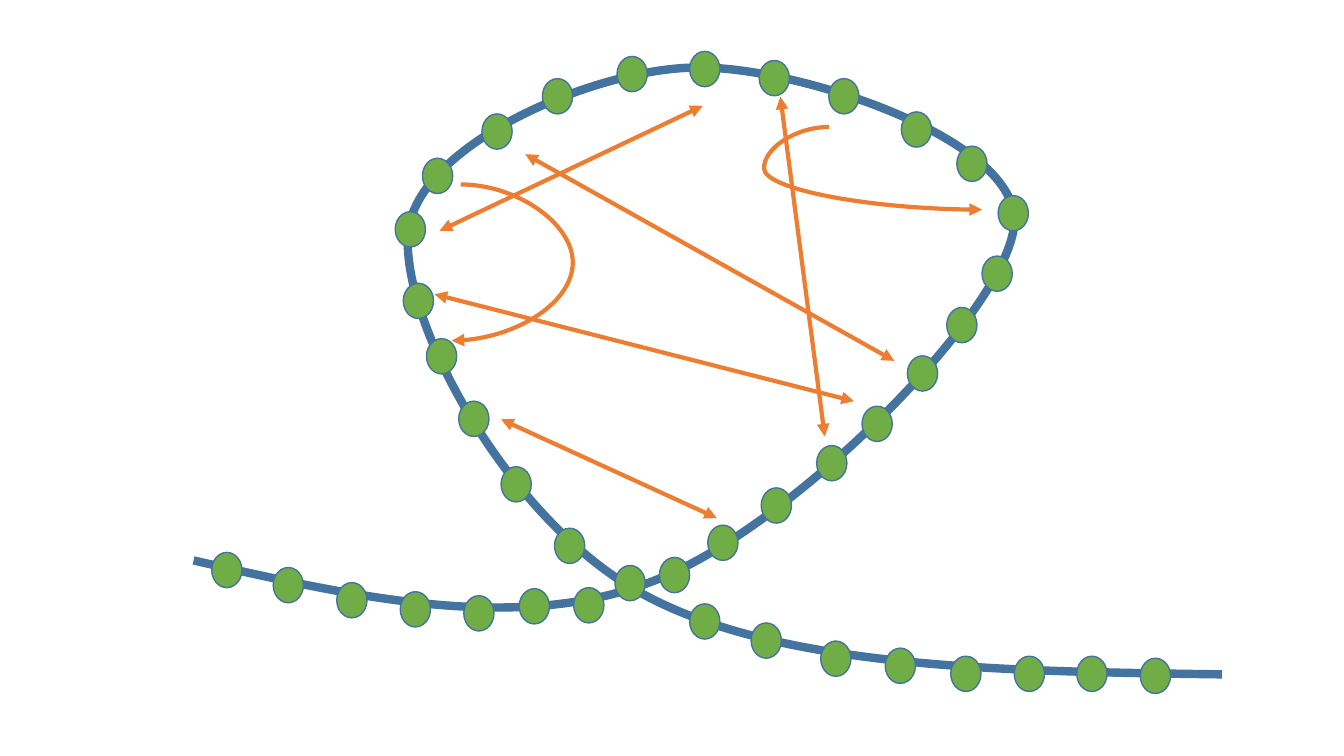
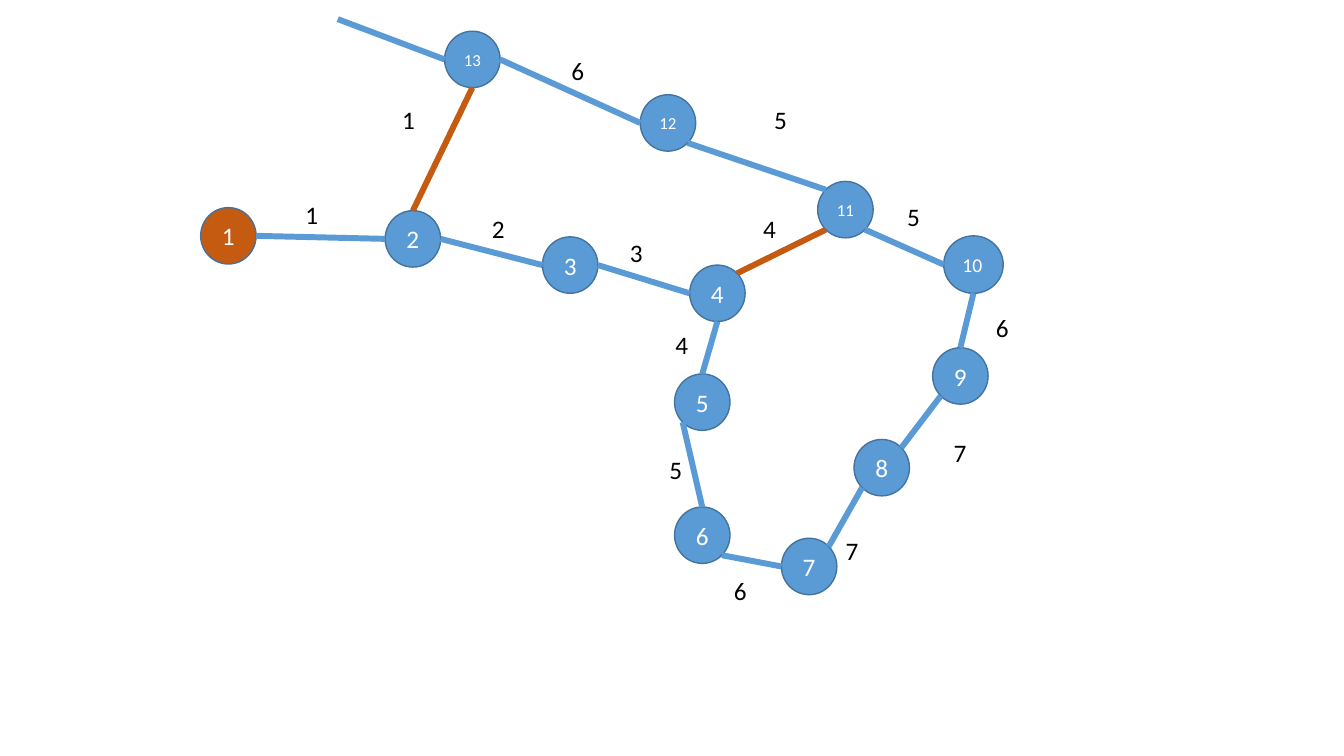
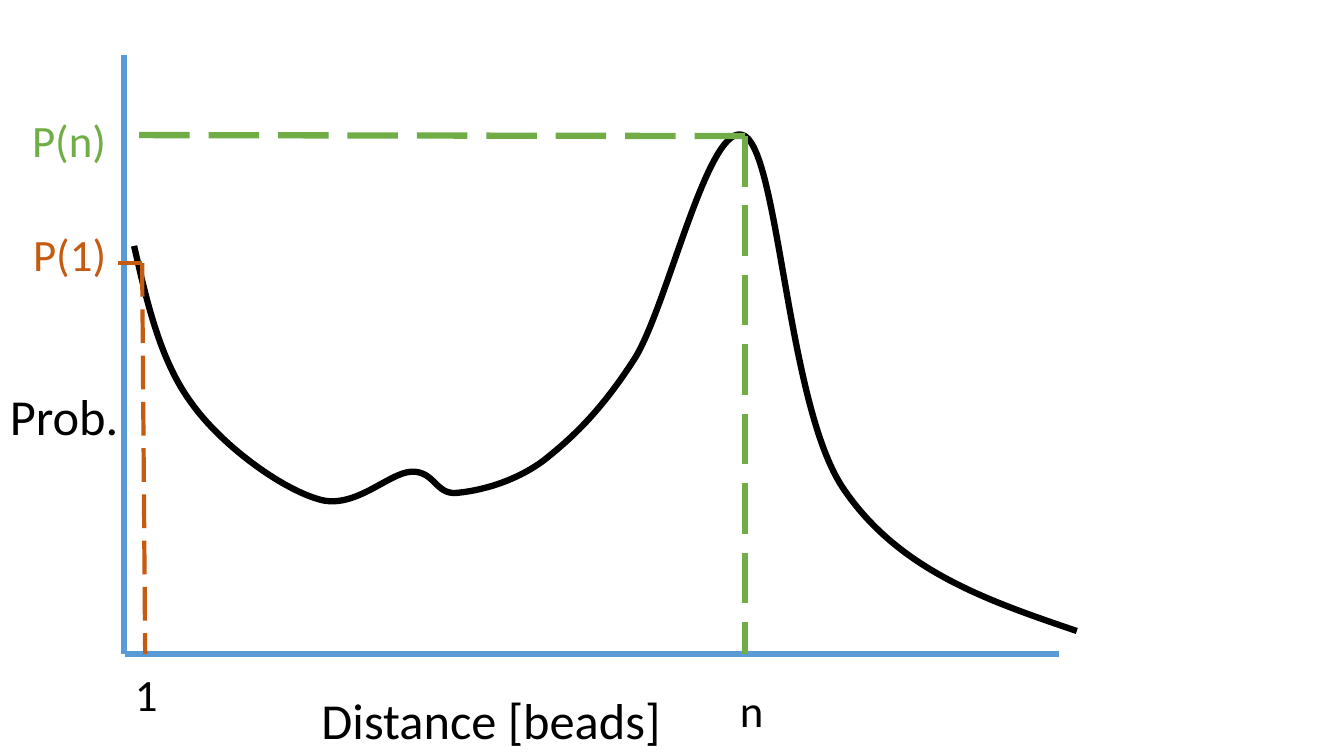
from math import cos, pi, sin

from pptx import Presentation
from pptx.dml.color import RGBColor
from pptx.enum.dml import MSO_LINE
from pptx.enum.shapes import MSO_CONNECTOR, MSO_SHAPE
from pptx.enum.text import MSO_ANCHOR, MSO_AUTO_SIZE, PP_ALIGN
from pptx.oxml.ns import qn
from pptx.util import Inches, Pt
from lxml import etree

STRAIGHT, CURVED = MSO_CONNECTOR.STRAIGHT, MSO_CONNECTOR.CURVE
ELLIPSE = MSO_SHAPE.OVAL
LONG_DASH = MSO_LINE.LONG_DASH
MIDDLE = MSO_ANCHOR.MIDDLE
LEFT, CENTER = PP_ALIGN.LEFT, PP_ALIGN.CENTER
FIT_TEXT = MSO_AUTO_SIZE.SHAPE_TO_FIT_TEXT

BLUE = RGBColor(0x5B, 0x9B, 0xD5)
DARK_BLUE = RGBColor(0x43, 0x73, 0x9E)
GREEN = RGBColor(0x70, 0xAD, 0x47)
ORANGE = RGBColor(0xED, 0x7D, 0x31)
RUST = RGBColor(0xC5, 0x5A, 0x11)
BLACK = RGBColor(0, 0, 0)
WHITE = RGBColor(0xFF, 0xFF, 0xFF)
FONT = "Calibri"
BLANK_LAYOUT = 6
UNITS_PER_INCH = 1000

# Curves: a start point, then (control, control, end) for each piece.
STRAND = [
    (1.92, 5.56),
    ((3.55, 5.93), (5.18, 6.3), (6.54, 5.74)),
    ((7.9, 5.19), (10, 3.07), (10.06, 2.22)),
    ((10.12, 1.38), (7.9, 0.65), (6.9, 0.67)),
    ((5.9, 0.68), (4.14, 1.43), (4.05, 2.3)),
    ((3.96, 3.17), (5.03, 5.16), (6.37, 5.89)),
    ((7.72, 6.63), (9.92, 6.66), (12.12, 6.69)),
]
PROBABILITY = [
    (1.33, 2.44),
    ((1.46, 3.01), (1.59, 3.58), (1.9, 4)),
    ((2.2, 4.42), (2.78, 4.84), (3.15, 4.95)),
    ((3.51, 5.07), (3.85, 4.69), (4.08, 4.68)),
    ((4.31, 4.67), (4.32, 4.91), (4.53, 4.89)),
    ((4.75, 4.87), (5.09, 4.79), (5.39, 4.57)),
    ((5.68, 4.34), (5.96, 4.08), (6.3, 3.55)),
    ((6.63, 3.01), (7.04, 1.14), (7.39, 1.35)),
    ((7.73, 1.57), (7.81, 4.02), (8.36, 4.84)),
    ((8.91, 5.66), (9.8, 5.96), (10.68, 6.26)),
]

BEAD_SIZE = (0.3, 0.35)
BEADS = [
    (2.1, 5.48), (2.71, 5.63), (3.34, 5.78), (3.97, 5.87), (4.6, 5.91),
    (5.15, 5.84), (5.69, 5.83), (6.54, 5.53), (7.02, 5.21), (7.55, 4.84),
    (8.1, 4.42), (8.55, 4.03), (9, 3.53), (9.39, 3.05), (9.74, 2.54),
    (9.9, 1.94), (9.49, 1.45), (8.94, 1.11), (8.22, 0.78), (7.53, 0.6),
    (6.84, 0.51), (6.12, 0.56), (5.38, 0.78), (4.78, 1.13), (4.19, 1.57),
    (3.92, 2.1), (4, 2.81), (4.23, 3.36), (4.55, 3.98), (4.97, 4.63),
    (5.5, 5.24), (6.1, 5.61), (6.84, 5.99), (7.45, 6.18), (8.14, 6.36),
    (8.78, 6.43), (9.43, 6.51), (10.06, 6.51), (10.68, 6.51), (11.31, 6.53),
]
CONTACTS = [
    ((5.21, 1.53), (8.87, 3.58)), ((4.36, 2.29), (6.97, 1.05)),
    ((4.31, 2.92), (8.47, 3.98)), ((7.74, 0.96), (8.18, 4.33)),
    ((4.97, 4.16), (7.11, 5.14)),
]
# Start, end and bend of each curved arrow.
LOOPS = [
    ((8.22, 1.26), (9.74, 2.08), -0.423),
    ((4.57, 1.83), (4.48, 3.38), -12.325),
]

# Number: left, top, width, height.
NODE_SIZE = (0.55, 0.56)
NODES = {
    1: (1.99, 2.06, *NODE_SIZE), 2: (3.82, 2.09, *NODE_SIZE),
    3: (5.38, 2.35, *NODE_SIZE), 4: (6.84, 2.63, *NODE_SIZE),
    5: (6.69, 3.71, *NODE_SIZE), 6: (6.69, 5.03, *NODE_SIZE),
    7: (7.75, 5.34, *NODE_SIZE), 8: (8.47, 4.36, *NODE_SIZE),
    9: (9.25, 3.45, *NODE_SIZE), 10: (9.36, 2.34, 0.59, 0.57),
    11: (8.11, 1.8, *NODE_SIZE), 12: (6.35, 0.94, *NODE_SIZE),
    13: (4.41, 0.31, *NODE_SIZE),
}
# Points on a node's rim, as eighths of a turn clockwise from the right.
RIM = {"E": 0, "SE": 1, "S": 2, "SW": 3, "W": 4, "NW": 5, "N": 6, "NE": 7}
LINKS = [
    (1, "E", 2, "W", BLUE), (2, "E", 3, "W", BLUE), (3, "E", 4, "W", BLUE),
    (4, "S", 5, "N", BLUE), (5, "SW", 6, "N", BLUE), (6, "SE", 7, "W", BLUE),
    (7, "NE", 8, "SW", BLUE), (8, "NE", 9, "SW", BLUE),
    (10, "S", 9, "N", BLUE), (11, "SE", 10, "W", BLUE),
    (11, "NW", 12, "SE", BLUE), (12, "W", 13, "E", BLUE),
    (4, "NE", 11, "SW", RUST), (2, "N", 13, "S", RUST),
]
STEPS = [
    ("1", 2.93, 1.93), ("2", 4.78, 2.07), ("3", 6.15, 2.31),
    ("4", 6.6, 3.22), ("5", 6.54, 4.46), ("6", 7.18, 5.66),
    ("7", 8.29, 5.26), ("7", 9.36, 4.29), ("6", 9.78, 3.05),
    ("5", 8.9, 1.95), ("4", 7.47, 2.07), ("5", 7.58, 0.99),
    ("6", 5.57, 0.5), ("1", 3.89, 0.99),
]

AXES = [((1.23, 0.55), (1.23, 6.49)), ((1.24, 6.49), (10.5, 6.49))]
GUIDES = [
    ((7.39, 1.35), (1.24, 1.34), GREEN, 4.5),
    ((7.39, 1.35), (7.39, 6.49), GREEN, 4.5),
    ((1.41, 2.61), (1.44, 6.49), RUST, 3),
    ((1.41, 2.61), (1.17, 2.61), RUST, 3),
]
PLOT_LABELS = [
    ("Prob.", (0, 3.77, 1.7, 0.71), 36, BLACK),
    ("Distance [beads]", (3.09, 6.79, 4.3, 0.71), 36, BLACK),
    ("1", (1.24, 6.57, 0.55, 0.64), 32, BLACK),
    ("n", (7.24, 6.72, 0.5, 0.64), 32, BLACK),
    ("P(1)", (0.23, 2.2, 1.08, 0.64), 32, RUST),
    ("P(n)", (0.22, 1.07, 1.06, 0.64), 32, GREEN),
]


def inches(values):
    """Turn a row of numbers into lengths."""
    return [Inches(value) for value in values]


def write(shape, text, size, color, align=LEFT):
    """Put one formatted paragraph into a shape."""
    frame = shape.text_frame
    frame.word_wrap = True
    frame.text = text
    para = frame.paragraphs[0]
    para.alignment = align
    font = para.runs[0].font
    font.name, font.size = FONT, Pt(size)
    font.color.rgb = color


def add_label(shapes, text, box, size, color=BLACK):
    """Add a text box that grows with its text."""
    label = shapes.add_textbox(*inches(box))
    write(label, text, size, color)
    label.text_frame.auto_size = FIT_TEXT


def add_ellipse(shapes, box, fill):
    """Add an outlined ellipse."""
    ellipse = shapes.add_shape(ELLIPSE, *inches(box))
    ellipse.shadow.inherit = False
    ellipse.fill.solid()
    ellipse.fill.fore_color.rgb = fill
    ellipse.line.color.rgb = DARK_BLUE
    ellipse.line.width = Pt(1)
    return ellipse


def add_line(shapes, start, end, color, width, kind=STRAIGHT, dash=None, arrows=()):
    """Add a connector, with arrowheads at the named ends."""
    line = shapes.add_connector(kind, *inches((*start, *end)))
    line.line.color.rgb = color
    line.line.width = Pt(width)
    if dash:
        line.line.dash_style = dash
    properties = line._element.spPr
    outline = properties.find(qn("a:ln"))
    for arrow in arrows:
        etree.SubElement(outline, qn(arrow), type="triangle")
    etree.SubElement(properties, qn("a:effectLst"))
    return line


def bend(line, ratio):
    """Set how far a curved connector swings out."""
    guides = line._element.spPr.find(qn("a:prstGeom")).get_or_add_avLst()
    etree.SubElement(guides, qn("a:gd"), name="adj1", fmla=f"val {round(ratio * 100000)}")


def add_curve(shapes, curve, color, width):
    """Add an open outline made of cubic curves."""
    start, *pieces = curve
    ends = [piece[-1] for piece in pieces]
    scaled = [(x * UNITS_PER_INCH, y * UNITS_PER_INCH) for x, y in [start, *ends]]
    builder = shapes.build_freeform(*scaled[0], scale=Inches(1) / UNITS_PER_INCH)
    builder.add_line_segments(scaled[1:], close=False)
    shape = builder.convert_to_shape()
    left, top = (min(values) for values in zip(start, *ends))
    segments = list(shape._element.iter(qn("a:lnTo")))
    for segment, piece in zip(segments, pieces):
        cubic = etree.Element(qn("a:cubicBezTo"))
        for x, y in piece:
            etree.SubElement(cubic, qn("a:pt"),
                             x=str(round((x - left) * UNITS_PER_INCH)),
                             y=str(round((y - top) * UNITS_PER_INCH)))
        segment.getparent().replace(segment, cubic)
    shape.shadow.inherit = False
    shape.fill.background()
    shape.line.color.rgb = color
    shape.line.width = Pt(width)


def rim_point(number, side):
    """Find a point on the rim of a node."""
    left, top, width, height = NODES[number]
    angle = RIM[side] * pi / 4
    return (left + width / 2 * (1 + cos(angle)),
            top + height / 2 * (1 + sin(angle)))


def add_node(shapes, number):
    """Add a numbered node of the path."""
    node = add_ellipse(shapes, NODES[number], RUST if number == 1 else BLUE)
    size = 18 if number < 10 else 14 if number == 10 else 12
    write(node, str(number), size, WHITE, LEFT if number == 10 else CENTER)
    node.text_frame.vertical_anchor = MIDDLE


def draw_bead_loop(page):
    """Draw the looped strand, its beads and their contacts."""
    shapes = page.shapes.add_group_shape().shapes
    add_curve(shapes, STRAND, DARK_BLUE, 6)
    for bead in BEADS:
        add_ellipse(shapes, (*bead, *BEAD_SIZE), GREEN)
    for start, end in CONTACTS:
        add_line(shapes, start, end, ORANGE, 3, arrows=("a:headEnd", "a:tailEnd"))
    for start, end, ratio in LOOPS:
        loop = add_line(shapes, start, end, ORANGE, 3, CURVED, arrows=("a:tailEnd",))
        bend(loop, ratio)


def draw_node_path(page):
    """Draw the numbered nodes, their links and the step counts."""
    shapes = page.shapes
    for number in NODES:
        add_node(shapes, number)
    for first, leaving, second, entering, color in LINKS:
        add_line(shapes, rim_point(first, leaving), rim_point(second, entering), color, 4.25)
    add_line(shapes, (3.35, 0.19), rim_point(13, "W"), BLUE, 4.25)
    for text, left, top in STEPS:
        add_label(shapes, text, (left, top, 0.36, 0.4), 18)


def draw_probability_plot(page):
    """Draw the sketch of probability against distance."""
    shapes = page.shapes
    for start, end in AXES:
        add_line(shapes, start, end, BLUE, 4.5)
    add_curve(shapes, PROBABILITY, BLACK, 4.5)
    for start, end, color, width in GUIDES:
        add_line(shapes, start, end, color, width, dash=LONG_DASH)
    for label in PLOT_LABELS:
        add_label(shapes, *label)


def main():
    """Build and save the deck."""
    deck = Presentation()
    deck.slide_width, deck.slide_height = Inches(13.33), Inches(7.5)
    for draw in (draw_bead_loop, draw_node_path, draw_probability_plot):
        draw(deck.slides.add_slide(deck.slide_layouts[BLANK_LAYOUT]))
    deck.save("out.pptx")


main()
